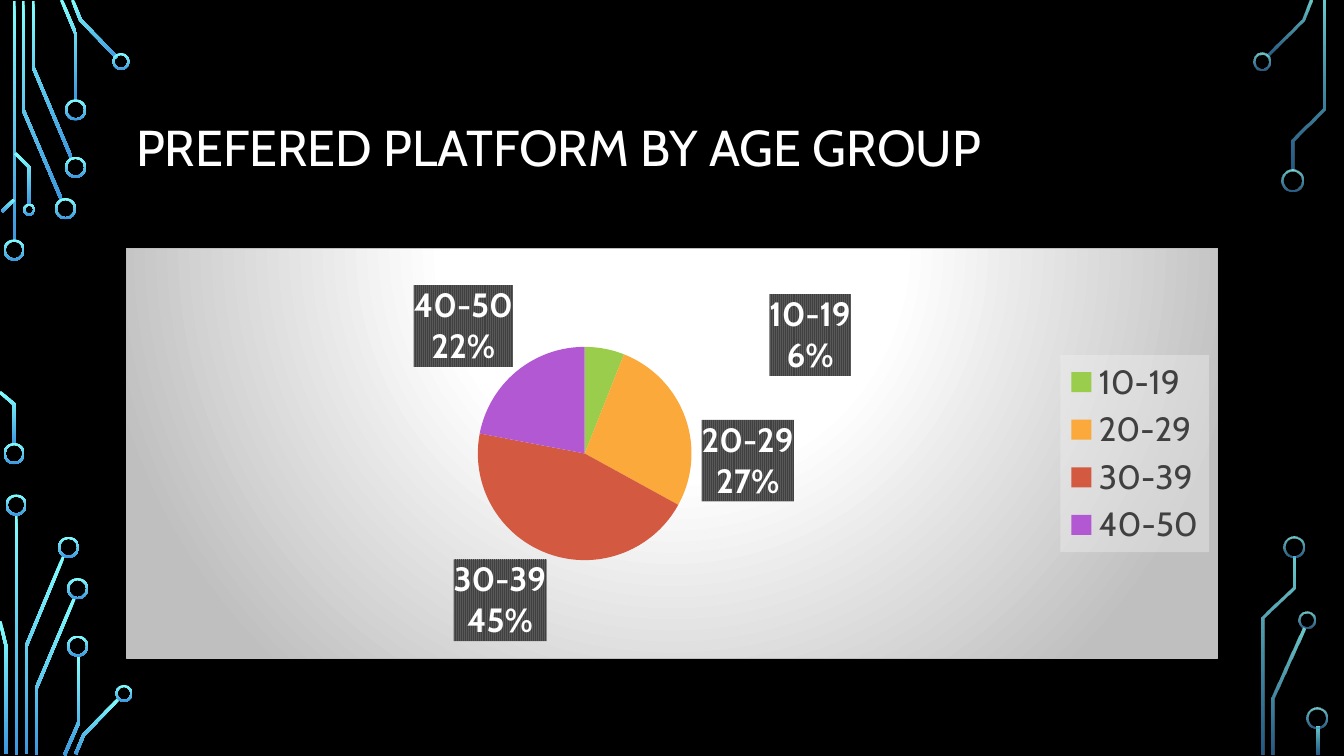
from copy import deepcopy
from dataclasses import dataclass
from math import hypot

from pptx import Presentation
from pptx.chart.data import CategoryChartData
from pptx.dml.color import RGBColor
from pptx.enum.chart import XL_CHART_TYPE, XL_LABEL_POSITION, XL_LEGEND_POSITION
from pptx.enum.shapes import MSO_SHAPE
from pptx.enum.text import MSO_ANCHOR, PP_ALIGN
from pptx.oxml import parse_xml
from pptx.oxml.ns import nsdecls, qn
from pptx.util import Inches, Pt

PIE = XL_CHART_TYPE.PIE
OUTSIDE = XL_LABEL_POSITION.OUTSIDE_END
LEGEND_RIGHT = XL_LEGEND_POSITION.RIGHT
DONUT = MSO_SHAPE.DONUT
MIDDLE = MSO_ANCHOR.MIDDLE
LEFT = PP_ALIGN.LEFT
TITLE_ONLY = 5

COLUMNS, ROWS = 13.33, 7.5
BIG, MEDIUM, SMALL = 0.21, 0.17, 0.12

LEFT_TRACES = [
    [(0.14, 0.01), (0.14, 2.39)],
    [(0.23, 0.01), (0.23, 1.09), (0.61, 1.98)],
    [(0.33, 0.01), (0.33, 0.67), (0.71, 1.57)],
    [(0.61, 0), (0.75, 0.33), (0.75, 1)],
    [(0.72, 0), (0.8, 0.2), (1.16, 0.57)],
    [(0.02, 2.1), (0.14, 1.98)],
    [(0, 3.89), (0.14, 4.01), (0.14, 4.41)],
    [(0.15, 1.52), (0.29, 1.66), (0.29, 2.03)],
    [(0.16, 5.1), (0.16, 7.49)],
    [(0.63, 5.52), (0.26, 6.41), (0.26, 7.48)],
    [(0, 6.16), (0.06, 6.41), (0.06, 7.48)],
    [(0.74, 5.93), (0.36, 6.83), (0.36, 7.49)],
    [(0.78, 6.5), (0.78, 7.17), (0.64, 7.49)],
    [(1.18, 6.93), (0.83, 7.29), (0.75, 7.48)],
]
LEFT_NODES = [
    (0.14, 2.48, BIG), (0.14, 4.5, BIG), (0.65, 2.07, BIG), (0.75, 1.66, BIG),
    (0.75, 1.09, BIG), (1.2, 0.61, MEDIUM), (0.29, 2.08, SMALL), (0.16, 5.01, BIG),
    (0.68, 5.43, BIG), (0.77, 5.84, BIG), (0.77, 6.41, BIG), (1.23, 6.88, MEDIUM),
]
RIGHT_TRACES = [
    [(13, 0), (12.92, 0.2), (12.57, 0.55)],
    [(13.13, 0.01), (13.13, 1.08), (12.82, 1.39), (12.82, 1.69)],
    [(12.93, 6.23), (12.63, 6.93), (12.63, 7.49)],
    [(12.83, 5.52), (12.83, 5.83), (12.53, 6.13), (12.53, 7.49)],
    [(13.07, 7.21), (13.07, 7.49)],
]
RIGHT_NODES = [
    (12.52, 0.61, MEDIUM), (12.82, 1.79, BIG), (12.96, 6.15, MEDIUM),
    (12.83, 5.43, BIG), (13.06, 7.12, BIG),
]
AGE_SHARES = {"10-19": 6, "20-29": 27, "30-39": 45, "40-50": 22}
LABEL_SHIFTS = [(0.15, 0.08), (0.01, 0.21)]
PIE_AREA = {"x": 0.32, "y": 0.24, "w": 0.2, "h": 0.52}


@dataclass(frozen=True)
class Theme:
    font: str = "Cabin"
    background: str = "000000"
    light: str = "FFFFFF"
    dark: str = "404040"
    stripe: str = "595959"
    panel_edge: str = "BFBFBF"
    legend: str = "F2F2F2"
    circuit: tuple = ("82FFFF", "3D97DE")
    slices: tuple = ("9ACD4C", "FAA93A", "D35940", "B258D3")
    title_size: int = 36
    chart_size: int = 24
    trace: float = 0.03


def outline(points, width):
    normals = []
    for (x1, y1), (x2, y2) in zip(points, points[1:]):
        length = hypot(x2 - x1, y2 - y1)
        normals.append(((y1 - y2) / length, (x2 - x1) / length))
    one_side, other_side = [], []
    for (x, y), (ax, ay), (bx, by) in zip(points, normals[:1] + normals, normals + normals[-1:]):
        reach = width / 2 / (1 + ax * bx + ay * by)
        dx, dy = (ax + bx) * reach, (ay + by) * reach
        one_side.append((x + dx, y + dy))
        other_side.append((x - dx, y - dy))
    return one_side + other_side[::-1]


def chart_xml(tag, content):
    return parse_xml(f"<c:{tag} {nsdecls('c', 'a')}>{content}</c:{tag}>")


def solid(color, opacity=100):
    return (f'<a:solidFill><a:srgbClr val="{color}"><a:alpha val="{opacity * 1000}"/>'
            "</a:srgbClr></a:solidFill>")


def manual_layout(prefix="", **places):
    modes = "".join(f'<c:{side}Mode val="edge"/>' for side in "xy") if prefix else ""
    values = "".join(f'<c:{key} val="{value}"/>' for key, value in places.items())
    return chart_xml("layout", f"<c:manualLayout>{prefix}{modes}{values}</c:manualLayout>")


class Deck:
    def __init__(self, theme):
        self.theme = theme
        self.presentation = Presentation()
        self.presentation.slide_width = Inches(COLUMNS)
        self.presentation.slide_height = Inches(ROWS)
        self.slide = self.presentation.slides.add_slide(
            self.presentation.slide_layouts[TITLE_ONLY])
        backdrop = self.slide.background.fill
        backdrop.solid()
        backdrop.fore_color.rgb = RGBColor.from_string(theme.background)

    def cells(self, *lengths):
        return [round(self.presentation.slide_width * length / COLUMNS) for length in lengths]

    def style(self, font, size, color, bold=False):
        font.name, font.size, font.bold = self.theme.font, Pt(size), bold
        font.color.rgb = RGBColor.from_string(color)

    def glow(self, shape, opacities):
        shape.shadow.inherit = False
        shape.line.fill.background()
        shape.fill.gradient()
        shape.fill.gradient_angle = 270
        for stop, color, opacity in zip(shape.fill.gradient_stops, self.theme.circuit, opacities):
            stop.color.rgb = RGBColor.from_string(color)
        for color, opacity in zip(shape.element.spPr.iter(qn("a:srgbClr")), opacities):
            color.append(parse_xml(f'<a:alpha {nsdecls("a")} val="{opacity * 1000}"/>'))

    def trace(self, points, opacities):
        start, *rest = [self.cells(*corner) for corner in outline(points, self.theme.trace)]
        builder = self.slide.shapes.build_freeform(*start)
        builder.add_line_segments(rest, close=True)
        self.glow(builder.convert_to_shape(), opacities)

    def node(self, x, y, size, opacities):
        ring = self.slide.shapes.add_shape(
            DONUT, *self.cells(x - size / 2, y - size / 2, size, size))
        ring.adjustments[0] = 0.02 / size
        self.glow(ring, opacities)

    def circuit(self, traces, nodes, opacities):
        for points in traces:
            self.trace(points, opacities)
        for node in nodes:
            self.node(*node, opacities)

    def title(self, wording, *box):
        heading = self.slide.shapes.title
        heading.left, heading.top, heading.width, heading.height = self.cells(*box)
        heading.text_frame.text = wording
        heading.text_frame.vertical_anchor = MIDDLE
        paragraph = heading.text_frame.paragraphs[0]
        paragraph.alignment, paragraph.line_spacing = LEFT, 0.9
        self.style(paragraph.runs[0].font, self.theme.title_size, self.theme.light)

    def pie(self, shares, *box):
        theme = self.theme
        ages = CategoryChartData()
        ages.categories = list(shares)
        ages.add_series("Series 1", list(shares.values()))
        chart = self.slide.shapes.add_chart(PIE, *self.cells(*box), ages).chart
        chart.has_title = False
        self.style(chart.font, theme.chart_size, theme.light)
        chart.plots[0].vary_by_categories = True
        series = chart.plots[0].series[0]
        for index, color in enumerate(theme.slices):
            wedge = series.points[index].format
            wedge.fill.solid()
            wedge.fill.fore_color.rgb = RGBColor.from_string(color)
            wedge.line.fill.background()
        self.panel(chart)
        self.legend(chart)
        self.labels(series.data_labels)

    def panel(self, chart):
        theme = self.theme
        stops = "".join(f'<a:gs pos="{pos * 1000}"><a:srgbClr val="{color}"/></a:gs>' for pos, color
                        in [(0, theme.light), (39, theme.light), (100, theme.panel_edge)])
        body = chart.element.find(qn("c:chart"))
        body.addnext(chart_xml("spPr", (
            f'<a:gradFill><a:gsLst>{stops}</a:gsLst><a:path path="circle">'
            '<a:fillToRect l="50000" t="-80000" r="50000" b="180000"/></a:path></a:gradFill>'
            f'<a:ln w="9525">{solid(theme.panel_edge)}</a:ln>')))
        plot_area = body.find(qn("c:plotArea"))
        for old in plot_area.findall(qn("c:layout")):
            plot_area.remove(old)
        plot_area.insert(0, manual_layout('<c:layoutTarget val="inner"/>', **PIE_AREA))

    def legend(self, chart):
        chart.has_legend = True
        chart.legend.position = LEGEND_RIGHT
        chart.legend.include_in_layout = False
        self.style(chart.legend.font, self.theme.chart_size, self.theme.dark)
        text = chart.element.find(".//" + qn("c:legend")).find(qn("c:txPr"))
        text.addprevious(chart_xml("spPr", solid(self.theme.legend, 39)))

    def labels(self, labels):
        theme = self.theme
        labels.show_value = False
        labels.show_category_name = labels.show_percentage = True
        labels.position = OUTSIDE
        self.style(labels.font, theme.chart_size, theme.light, bold=True)
        group = labels.element if hasattr(labels, "element") else labels._element
        group.find(qn("c:txPr")).addprevious(chart_xml("spPr", (
            f'<a:pattFill prst="narVert"><a:fgClr><a:srgbClr val="{theme.dark}"/></a:fgClr>'
            f'<a:bgClr><a:srgbClr val="{theme.stripe}"/></a:bgClr></a:pattFill>')))
        leaders = group.find(qn("c:showLeaderLines"))
        if leaders is not None:
            leaders.set("val", "0")
        group.find(qn("c:showPercent")).getnext().addnext(chart_xml("separator", "\n"))
        shared = [part for part in group if part.tag != qn("c:showLeaderLines")]
        for index, (x, y) in enumerate(LABEL_SHIFTS):
            label = chart_xml("dLbl", f'<c:idx val="{index}"/>')
            label.append(manual_layout(x=x, y=y))
            label.extend(deepcopy(shared))
            group.insert(index, label)


def main():
    deck = Deck(Theme())
    deck.circuit(LEFT_TRACES, LEFT_NODES, (100, 100))
    deck.circuit(RIGHT_TRACES, RIGHT_NODES, (80, 60))
    deck.title("PREFERED PLATFORM BY AGE GROUP", 1.25, 0.68, 10.83, 1.62)
    deck.pie(AGE_SHARES, 1.25, 2.46, 10.83, 4.08)
    deck.presentation.save("out.pptx")


if __name__ == "__main__":
    main()
